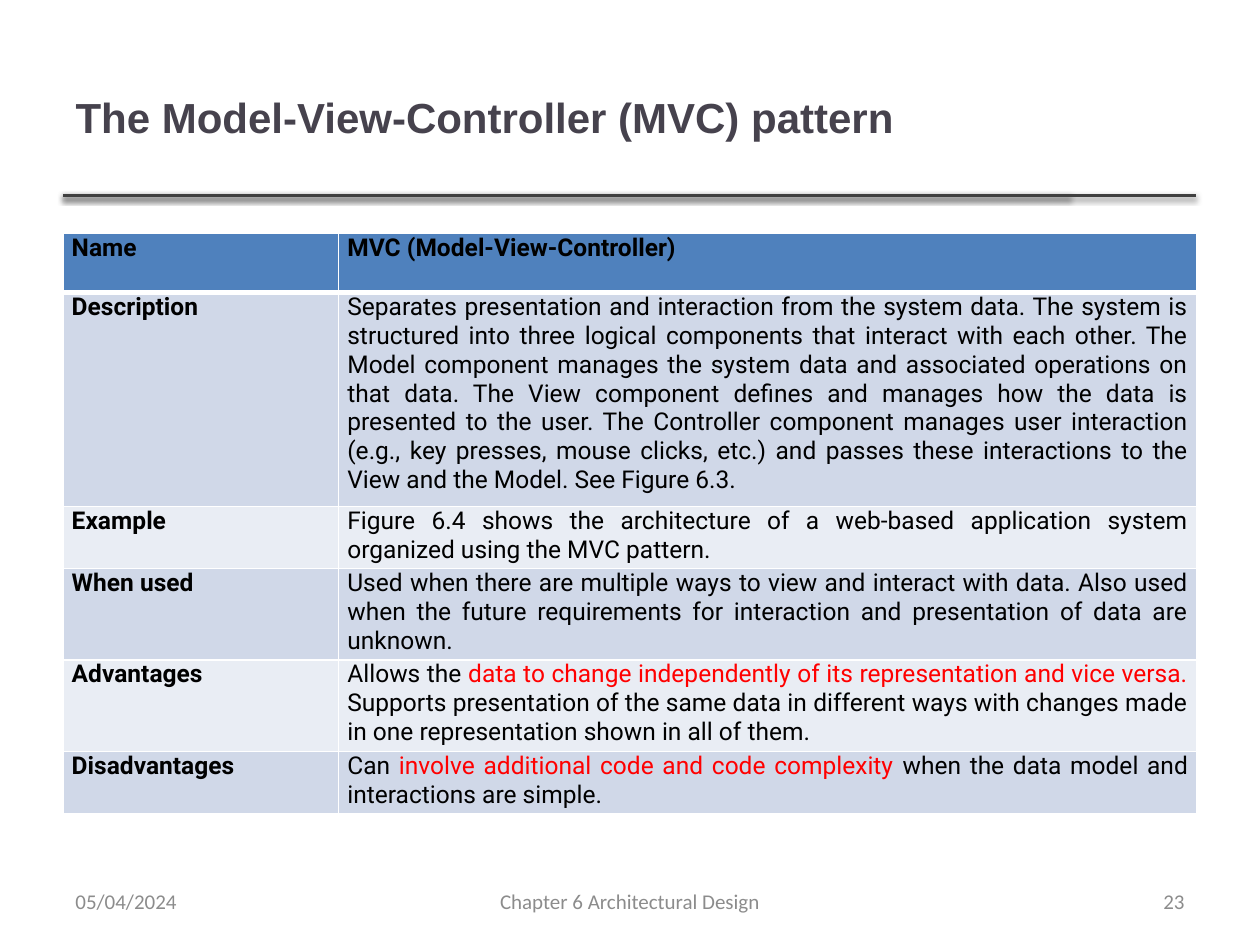
from lxml import etree
from pptx import Presentation
from pptx.dml.color import RGBColor
from pptx.enum.shapes import MSO_CONNECTOR
from pptx.enum.text import MSO_ANCHOR, MSO_AUTO_SIZE, PP_ALIGN
from pptx.oxml.ns import qn
from pptx.util import Pt

STRAIGHT = MSO_CONNECTOR.STRAIGHT
MIDDLE = MSO_ANCHOR.MIDDLE
NO_AUTOFIT = MSO_AUTO_SIZE.NONE
LEFT, CENTER, RIGHT, JUSTIFY = PP_ALIGN.LEFT, PP_ALIGN.CENTER, PP_ALIGN.RIGHT, PP_ALIGN.JUSTIFY
TITLE_ONLY = 5

COLORS = {
    "title": "46424D",
    "rule": "404040",
    "shadow": "000000",
    "text": "000000",
    "accent": "FF0000",
    "footer": "8C8C8C",
    "border": "FFFFFF",
    "header": "4F81BD",
    "odd": "D0D8E8",
    "even": "E9EDF4",
}
MARGIN = 36
COLUMN_WIDTHS = [157.5, 490.5]
ROW_HEIGHTS = [33.5, 122.5, 35.3, 52.4, 52.4, 35.3]

PATTERN_ROWS = [
    ("Name", [("MVC (Model-View-Controller)", "text")]),
    ("Description", [(
        "Separates presentation and interaction from the system data. The system is "
        "structured into three logical components that interact with each other. The "
        "Model component manages the system data and associated operations on that data. "
        "The View component defines and manages how the data is presented to the user. "
        "The Controller component manages user interaction (e.g., key presses, mouse "
        "clicks, etc.) and passes these interactions to the View and the Model. "
        "See Figure 6.3.", "text")]),
    ("Example", [(
        "Figure 6.4 shows the architecture of a web-based application system organized "
        "using the MVC pattern.", "text")]),
    ("When used", [(
        "Used when there are multiple ways to view and interact with data. Also used when "
        "the future requirements for interaction and presentation of data are unknown.",
        "text")]),
    ("Advantages", [
        ("Allows the ", "text"),
        ("data to change independently of its representation and vice versa. ", "accent"),
        ("Supports presentation of the same data in different ways with changes made in "
         "one representation shown in all of them.", "text")]),
    ("Disadvantages", [
        ("Can ", "text"),
        ("involve additional code and code complexity ", "accent"),
        ("when the data model and interactions are simple.", "text")]),
]


def add_span(para, text, font, size, color, bold=False):
    span = para.add_run()
    span.text = text
    span.font.name = font
    span.font.size = Pt(size)
    span.font.bold = bold
    span.font.color.rgb = RGBColor.from_string(COLORS[color])


def add_title(page, text):
    box = page.shapes.title
    box.left, box.top, box.width, box.height = Pt(MARGIN), Pt(21.6), Pt(574.6), Pt(90)
    frame = box.text_frame
    frame.auto_size = NO_AUTOFIT
    frame.vertical_anchor = MIDDLE
    para = frame.paragraphs[0]
    para.alignment = LEFT
    add_span(para, text, "Arial", 24, "title", True)


def add_color(parent, color):
    return etree.SubElement(parent, qn("a:srgbClr"), val=COLORS[color])


def add_rule(page, right):
    line = page.shapes.add_connector(STRAIGHT, Pt(MARGIN), Pt(111.6), Pt(right), Pt(111.6))
    line.line.color.rgb = RGBColor.from_string(COLORS["rule"])
    line.line.width = Pt(2)
    effects = etree.SubElement(line._element.spPr, qn("a:effectLst"))
    shadow = etree.SubElement(
        effects, qn("a:outerShdw"), blurRad=str(Pt(3.1)), dist=str(Pt(1.6)),
        dir="5400000", rotWithShape="0")
    etree.SubElement(add_color(shadow, "shadow"), qn("a:alpha"), val="38000")


def set_borders(cell, top, bottom):
    properties = cell._tc.get_or_add_tcPr()
    widths = {"a:lnL": 1, "a:lnR": 1, "a:lnT": top, "a:lnB": bottom}
    for position, (tag, width) in enumerate(widths.items()):
        border = etree.Element(qn(tag), w=str(Pt(width)))
        add_color(etree.SubElement(border, qn("a:solidFill")), "border")
        properties.insert(position, border)


def fill_cell(cell, spans, bold, row):
    cell.margin_left = cell.margin_right = Pt(5)
    cell.margin_top = cell.margin_bottom = 0
    shade = "header" if row == 0 else "odd" if row % 2 else "even"
    cell.fill.solid()
    cell.fill.fore_color.rgb = RGBColor.from_string(COLORS[shade])
    set_borders(cell, 3 if row == 1 else 1, 3 if row == 0 else 1)
    para = cell.text_frame.paragraphs[0]
    para.alignment = JUSTIFY
    for text, color in spans:
        add_span(para, text, "Roboto", 14, color, bold)


def add_pattern_table(page):
    table = page.shapes.add_table(
        len(PATTERN_ROWS), len(COLUMN_WIDTHS), Pt(MARGIN), Pt(133.5),
        Pt(sum(COLUMN_WIDTHS)), Pt(sum(ROW_HEIGHTS))).table
    for column, width in zip(table.columns, COLUMN_WIDTHS):
        column.width = Pt(width)
    for row, (label, spans) in enumerate(PATTERN_ROWS):
        table.rows[row].height = Pt(ROW_HEIGHTS[row])
        fill_cell(table.cell(row, 0), [(label, "text")], True, row)
        fill_cell(table.cell(row, 1), spans, row == 0, row)


def add_footer(page, text, left, width, alignment):
    box = page.shapes.add_textbox(Pt(left), Pt(500.5), Pt(width), Pt(28.8))
    frame = box.text_frame
    frame.word_wrap = True
    frame.vertical_anchor = MIDDLE
    para = frame.paragraphs[0]
    para.alignment = alignment
    add_span(para, text, "Calibri", 12, "footer")


def main():
    deck = Presentation()
    deck.slide_width, deck.slide_height = Pt(720), Pt(540)
    page = deck.slides.add_slide(deck.slide_layouts[TITLE_ONLY])
    for right in (611.3, 683.3):
        add_rule(page, right)
    add_title(page, "The Model-View-Controller (MVC) pattern")
    add_pattern_table(page)
    add_footer(page, "05/04/2024", MARGIN, 168, LEFT)
    add_footer(page, "Chapter 6 Architectural Design", 246, 228, CENTER)
    add_footer(page, "23", 516, 168, RIGHT)
    deck.save("out.pptx")


if __name__ == "__main__":
    main()
